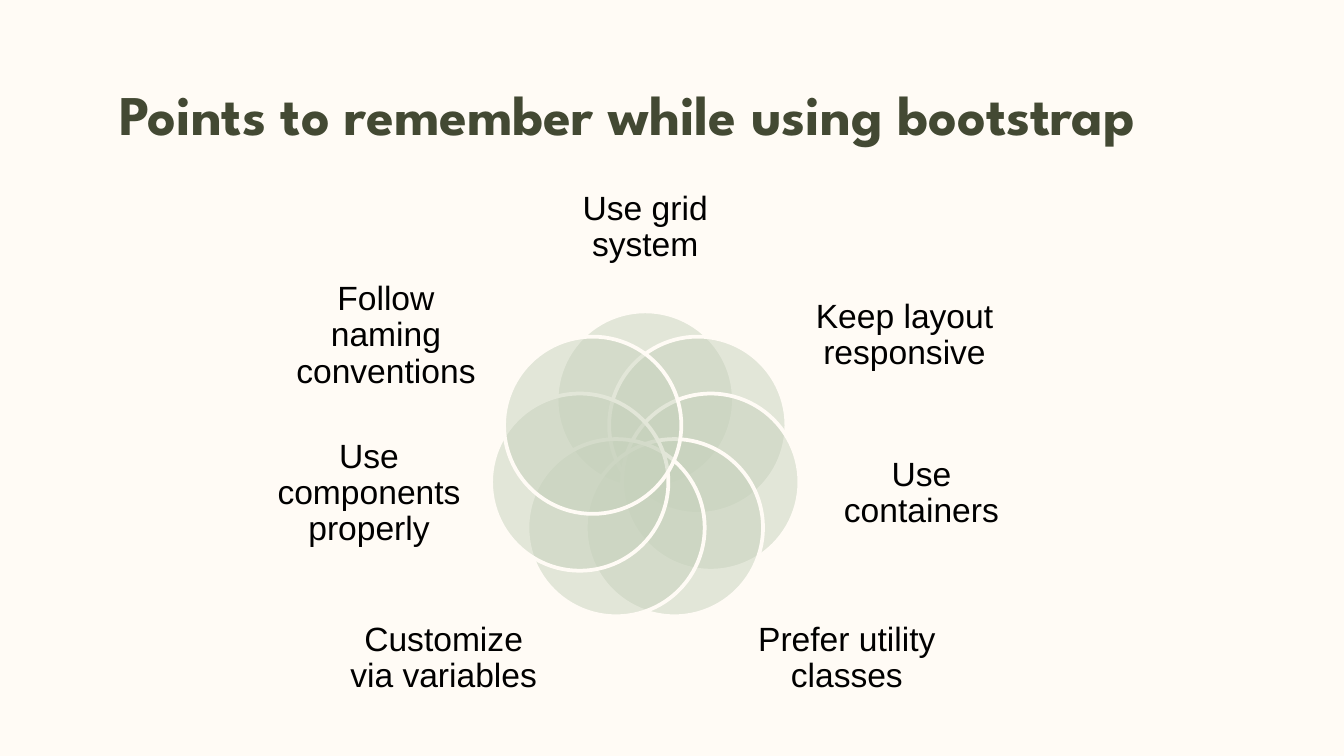
from dataclasses import dataclass
from math import cos, pi, sin

from lxml import etree
from pptx import Presentation
from pptx.dml.color import RGBColor
from pptx.enum import shapes, text
from pptx.oxml import ns
from pptx.util import Cm, Pt


@dataclass(frozen=True)
class Theme:
    paper: RGBColor = RGBColor.from_string("FFFBF5")
    heading: RGBColor = RGBColor.from_string("434933")
    petal: RGBColor = RGBColor.from_string("C7D2BD")
    ink: RGBColor = RGBColor.from_string("000000")
    heading_font: str = "League Spartan"
    body_font: str = "Arial"
    heading_size: int = 30
    body_size: int = 18


@dataclass(frozen=True)
class Box:
    left: float
    top: float
    width: float
    height: float

    def lengths(self):
        return [Cm(value) for value in (self.left, self.top, self.width, self.height)]


THEME = Theme()
PETAL_SIZE = 3.35
RING_RADIUS = 1.27
LABELS = [
    ("Use grid system", 0, -4.53, 3.84, 2.06),
    ("Keep layout responsive", 4.9, -2.48, 3.63, 2.26),
    ("Use containers", 5.22, 0.5, 3.56, 2.41),
    ("Prefer utility classes", 3.81, 3.62, 3.84, 2.21),
    ("Customize via variables", -3.81, 3.62, 3.84, 2.21),
    ("Use components properly", -5.22, 0.5, 3.56, 2.41),
    ("Follow naming conventions", -4.9, -2.48, 3.63, 2.26),
]


def centred_box(x, y, width, height):
    return Box(x - width / 2, y - height / 2, width, height)


def add_text(parent, box, words, margin):
    frame = parent.add_textbox(*box.lengths()).text_frame
    frame.word_wrap = True
    frame.margin_left = frame.margin_right = Cm(margin)
    frame.margin_top = frame.margin_bottom = Cm(margin)
    para = frame.paragraphs[0]
    para.text = words
    return frame, para


def set_font(para, name, size, color, bold=False):
    para.font.name = name
    para.font.size = Pt(size)
    para.font.color.rgb = color
    para.font.bold = bold


def add_title(page, box, words):
    frame, para = add_text(page.shapes, box, words, 0.25)
    frame.vertical_anchor = text.MSO_ANCHOR.TOP
    set_font(para, THEME.heading_font, THEME.heading_size, THEME.heading, True)


def add_label(parent, box, words):
    frame, para = add_text(parent, box, words, 0)
    frame.vertical_anchor = text.MSO_ANCHOR.MIDDLE
    para.alignment = text.PP_ALIGN.CENTER
    para.line_spacing = 0.9
    set_font(para, THEME.body_font, THEME.body_size, THEME.ink)


def add_petal(parent, box):
    petal = parent.add_shape(shapes.MSO_SHAPE.OVAL, *box.lengths())
    petal.shadow.inherit = False
    petal.fill.solid()
    petal.fill.fore_color.rgb = THEME.petal
    color = petal.fill._xPr.find(ns.qn("a:solidFill"))[0]
    etree.SubElement(color, ns.qn("a:alpha"), val="50000")
    petal.line.color.rgb = THEME.paper
    petal.line.width = Pt(2)


def add_flower(page, box, labels):
    group = page.shapes.add_group_shape().shapes
    x = box.left + box.width / 2
    y = box.top + box.height * 0.54
    for index, (words, across, down, width, height) in enumerate(labels):
        angle = 2 * pi * index / len(labels)
        petal_x = x + RING_RADIUS * sin(angle)
        petal_y = y - RING_RADIUS * cos(angle)
        add_petal(group, centred_box(petal_x, petal_y, PETAL_SIZE, PETAL_SIZE))
        add_label(group, centred_box(x + across, y + down, width, height), words)


def main():
    deck = Presentation()
    deck.slide_width, deck.slide_height = Cm(25.4), Cm(14.29)
    page = deck.slides.add_slide(deck.slide_layouts[6])
    page.background.fill.solid()
    page.background.fill.fore_color.rgb = THEME.paper
    add_title(page, Box(2, 1.25, 21.4, 1.6), "Points to remember while using bootstrap")
    add_flower(page, Box(5.21, 3.28, 13.97, 10.28), LABELS)
    deck.save("out.pptx")


if __name__ == "__main__":
    main()
